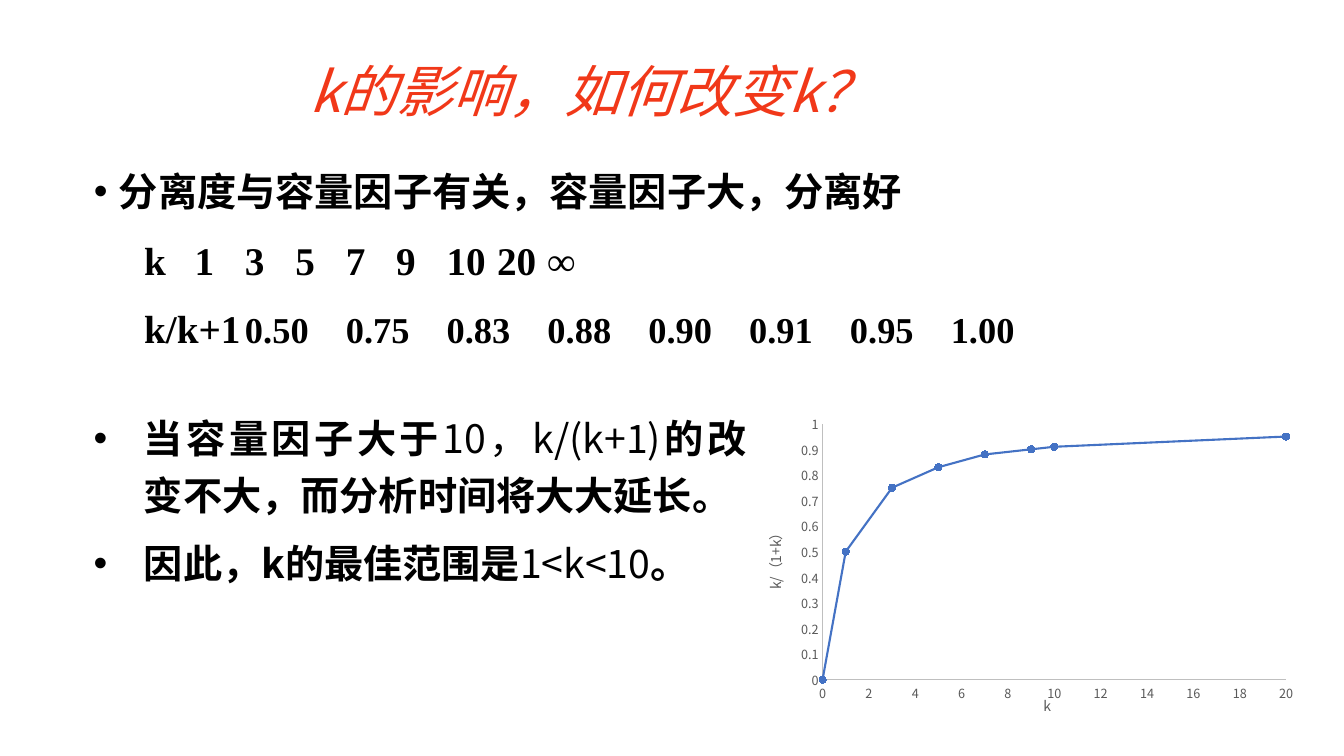
from dataclasses import dataclass

from lxml import etree
from pptx import Presentation
from pptx.chart.data import XyChartData
from pptx.dml.color import RGBColor
from pptx.enum.chart import XL_CHART_TYPE, XL_MARKER_STYLE, XL_TICK_MARK
from pptx.enum.text import MSO_ANCHOR, MSO_AUTO_SIZE, PP_ALIGN
from pptx.oxml.ns import qn
from pptx.util import Inches, Pt

SCATTER = XL_CHART_TYPE.XY_SCATTER_LINES
CIRCLE = XL_MARKER_STYLE.CIRCLE
NO_TICK = XL_TICK_MARK.NONE
LEFT, JUSTIFY = PP_ALIGN.LEFT, PP_ALIGN.JUSTIFY
MIDDLE, TOP = MSO_ANCHOR.MIDDLE, MSO_ANCHOR.TOP
NO_FIT, GROW = MSO_AUTO_SIZE.NONE, MSO_AUTO_SIZE.SHAPE_TO_FIT_TEXT


@dataclass(frozen=True)
class Theme:
    """Colours, fonts and type sizes of the slide."""
    sans: str = "Noto Sans CJK SC"
    serif: str = "Times New Roman"
    red: RGBColor = RGBColor(0xF1, 0x38, 0x19)
    black: RGBColor = RGBColor(0, 0, 0)
    grey: RGBColor = RGBColor(0x59, 0x59, 0x59)
    rule: RGBColor = RGBColor(0xBF, 0xBF, 0xBF)
    blue: RGBColor = RGBColor(0x44, 0x72, 0xC4)
    title: Pt = Pt(40)
    body: Pt = Pt(28)
    values: Pt = Pt(26)
    axis_title: Pt = Pt(10)
    axis: Pt = Pt(9)


THEME = Theme()
BODY = {"name": THEME.sans, "size": THEME.body, "bold": True}
PLAIN = {**BODY, "bold": False}
SERIF = {**BODY, "name": THEME.serif}
SMALL = {**SERIF, "size": THEME.values}

FACTORS = ["k", "1", "3", "5", "7", "9", "10", "20", "∞"]
FACTOR_STOPS = [0.39, 1.48, 2.44, 3.52, 4.59, 5.66, 6.43, 7.49, 8.38]
RATIOS = ["0.50", "0.75", "0.83", "0.88", "0.90", "0.91", "0.95", "1.00"]
RATIO_STOPS = [0.1, 1.24, 2.15, 3.05, 3.95, 4.85, 5.76, 6.75, 7.56]
CURVE = [(0, 0)] + [(int(k), float(ratio)) for k, ratio in zip(FACTORS[1:-1], RATIOS)]


def apply(target, formats):
    """Set each attribute of the target from a dict."""
    for name, value in formats.items():
        setattr(target, name, value)


def place(shape, box):
    """Move a shape to a box given in inches."""
    edges = ("left", "top", "width", "height")
    apply(shape, dict(zip(edges, map(Inches, box))))


def add_span(para, text, formats, color=THEME.black):
    """Add a run in one font for Latin and Chinese text."""
    span = para.add_run()
    span.text = text
    apply(span.font, formats)
    span.font.color.rgb = color
    east = etree.SubElement(span._r.get_or_add_rPr(), qn("a:ea"))
    east.set("typeface", formats["name"])


def fill_paragraphs(frame, paragraphs):
    """Write (spans, bullet indent, tab stops) paragraphs into a frame."""
    for number, (spans, indent, stops) in enumerate(paragraphs):
        para = frame.add_paragraph() if number else frame.paragraphs[0]
        props = para._p.get_or_add_pPr()
        props.set("marL", str(Inches(indent)))
        props.set("indent", str(-Inches(indent)))
        if indent:
            etree.SubElement(props, qn("a:buFont")).set("typeface", "Arial")
            etree.SubElement(props, qn("a:buChar")).set("char", "•")
        else:
            etree.SubElement(props, qn("a:buNone"))
        if stops:
            tabs = etree.SubElement(props, qn("a:tabLst"))
            for stop in stops:
                tab = etree.SubElement(tabs, qn("a:tab"))
                tab.set("pos", str(Inches(stop)))
                tab.set("algn", "l")
        apply(para, {"alignment": LEFT if stops else JUSTIFY, "line_spacing": 1.2,
                     "space_before": Pt(8.4 if number else 0), "space_after": Pt(0)})
        for text, formats in spans:
            add_span(para, text, formats)


def build_title(page, box):
    """Place the red slanted title."""
    title = page.shapes.title
    place(title, box)
    apply(title.text_frame, {"vertical_anchor": MIDDLE, "word_wrap": True, "auto_size": NO_FIT})
    para = title.text_frame.paragraphs[0]
    apply(para, {"alignment": LEFT, "line_spacing": 0.9})
    add_span(para, "k的影响，如何改变k？",
             {"name": THEME.sans, "size": THEME.title, "italic": True}, THEME.red)


def build_body(page, box):
    """Place the main statement and the two rows of values."""
    body = page.placeholders[1]
    place(body, box)
    apply(body.text_frame, {"vertical_anchor": TOP, "word_wrap": True, "auto_size": NO_FIT})
    factors = "".join("\t" + factor for factor in FACTORS)
    ratios = "".join("\t" + ratio for ratio in RATIOS)
    fill_paragraphs(body.text_frame, [
        ([("分离度与容量因子有关，容量因子大，分离好", BODY)], 0.25, []),
        ([(factors, SERIF)], 0, FACTOR_STOPS),
        ([("\tk/k+1", SERIF), (ratios, SMALL)], 0, RATIO_STOPS),
    ])


def build_conclusions(page, box):
    """Place the two concluding bullets."""
    notes = page.shapes.add_textbox(*map(Inches, box))
    apply(notes.text_frame, {"word_wrap": True, "auto_size": GROW})
    fill_paragraphs(notes.text_frame, [
        ([("当容量因子大于", BODY), ("10，k/(k+1)", PLAIN),
          ("的改变不大，而分析时间将大大延长。", BODY)], 0.5, []),
        ([("因此，k的最佳范围是", BODY), ("1<k<10", PLAIN), ("。", BODY)], 0.5, []),
    ])


def style_axis(axis, title, maximum, step):
    """Format one axis of the curve."""
    apply(axis, {"minimum_scale": 0, "maximum_scale": maximum, "major_unit": step,
                 "has_major_gridlines": False, "has_minor_gridlines": False,
                 "major_tick_mark": NO_TICK, "minor_tick_mark": NO_TICK})
    apply(axis.tick_labels, {"number_format": "General", "number_format_is_linked": False})
    apply(axis.tick_labels.font, {"name": THEME.sans, "size": THEME.axis})
    axis.tick_labels.font.color.rgb = THEME.grey
    axis.format.line.color.rgb = THEME.rule
    axis.format.line.width = Pt(0.75)
    add_span(axis.axis_title.text_frame.paragraphs[0], title,
             {"name": THEME.sans, "size": THEME.axis_title, "bold": False}, THEME.grey)


def set_plot_area(chart, fractions):
    """Fix the inner plot area as fractions of the chart."""
    area = chart._chartSpace.find(".//" + qn("c:plotArea"))
    layout = area.find(qn("c:layout"))
    if layout is None:
        layout = etree.Element(qn("c:layout"))
        area.insert(0, layout)
    manual = etree.SubElement(layout, qn("c:manualLayout"))
    settings = [("layoutTarget", "inner"), ("xMode", "edge"), ("yMode", "edge")]
    for tag, value in settings + list(zip("xywh", fractions)):
        etree.SubElement(manual, qn("c:" + tag)).set("val", str(value))


def build_chart(page, box):
    """Draw k/(1+k) against k."""
    data = XyChartData()
    points = data.add_series("Series 1")
    for k, ratio in CURVE:
        points.add_data_point(k, ratio)
    chart = page.shapes.add_chart(SCATTER, *map(Inches, box), data).chart
    apply(chart, {"has_title": False, "has_legend": False})
    apply(chart.font, {"name": THEME.sans, "size": THEME.axis_title})
    chart.font.color.rgb = THEME.black
    chart.plots[0].vary_by_categories = False
    style_axis(chart.category_axis, "k", 20, 2)
    style_axis(chart.value_axis, "k/（1+k）", 1, 0.1)
    curve = chart.plots[0].series[0]
    curve.smooth = False
    curve.format.line.color.rgb = THEME.blue
    curve.format.line.width = Pt(1.5)
    apply(curve.marker, {"style": CIRCLE, "size": 5})
    curve.marker.format.fill.solid()
    curve.marker.format.fill.fore_color.rgb = THEME.blue
    curve.marker.format.line.color.rgb = THEME.blue
    set_plot_area(chart, (0.118, 0.134, 0.824, 0.749))


def main():
    """Build and save the slide."""
    deck = Presentation()
    apply(deck, {"slide_width": Inches(13.33), "slide_height": Inches(7.5)})
    page = deck.slides.add_slide(deck.slide_layouts[1])
    build_title(page, (2.97, 0.36, 7.61, 1.15))
    build_body(page, (0.83, 1.52, 9.75, 2.23))
    build_chart(page, (7.5, 3.75, 5.58, 3.39))
    build_conclusions(page, (0.83, 3.97, 6.67, 1.86))
    deck.save("out.pptx")


if __name__ == "__main__":
    main()
